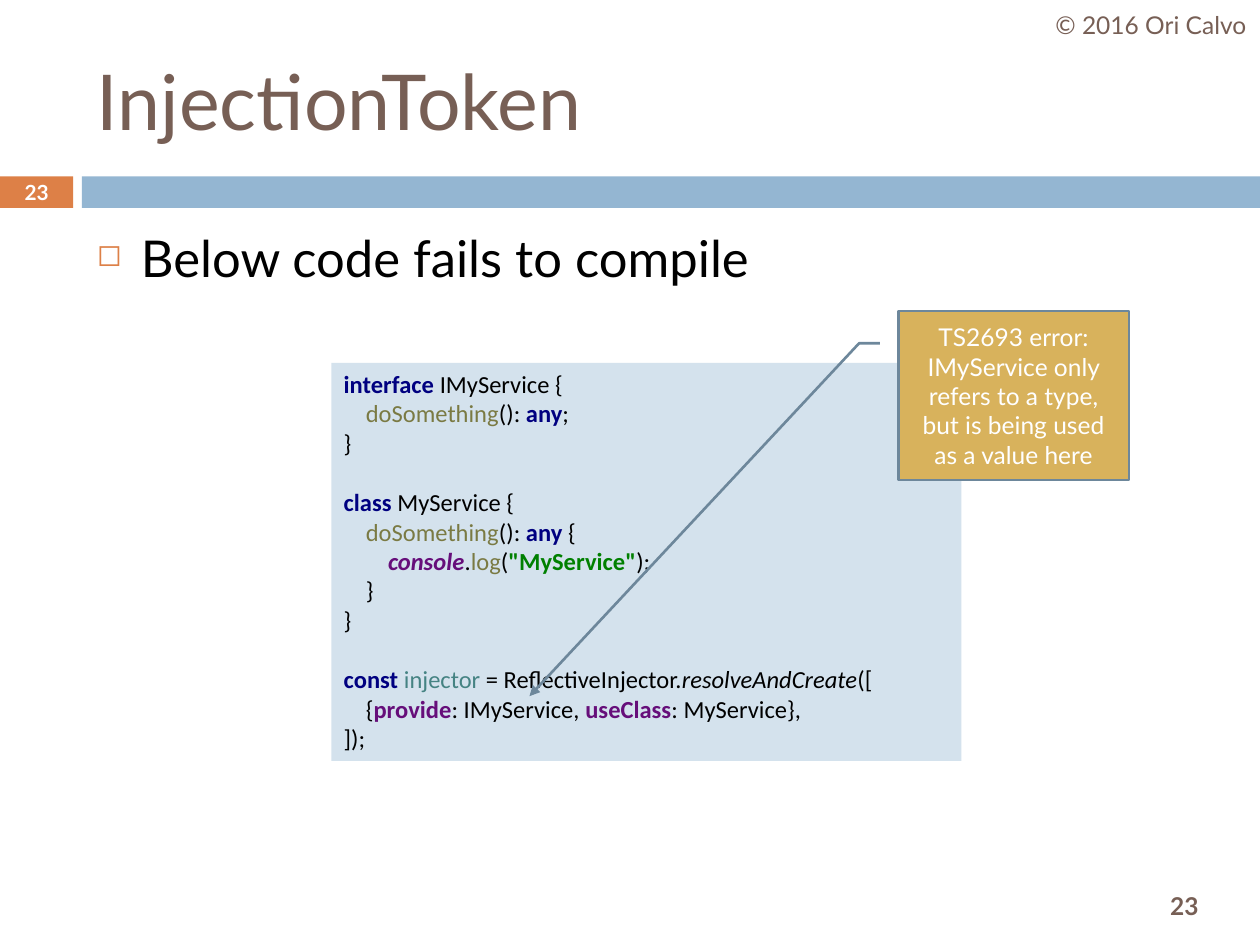
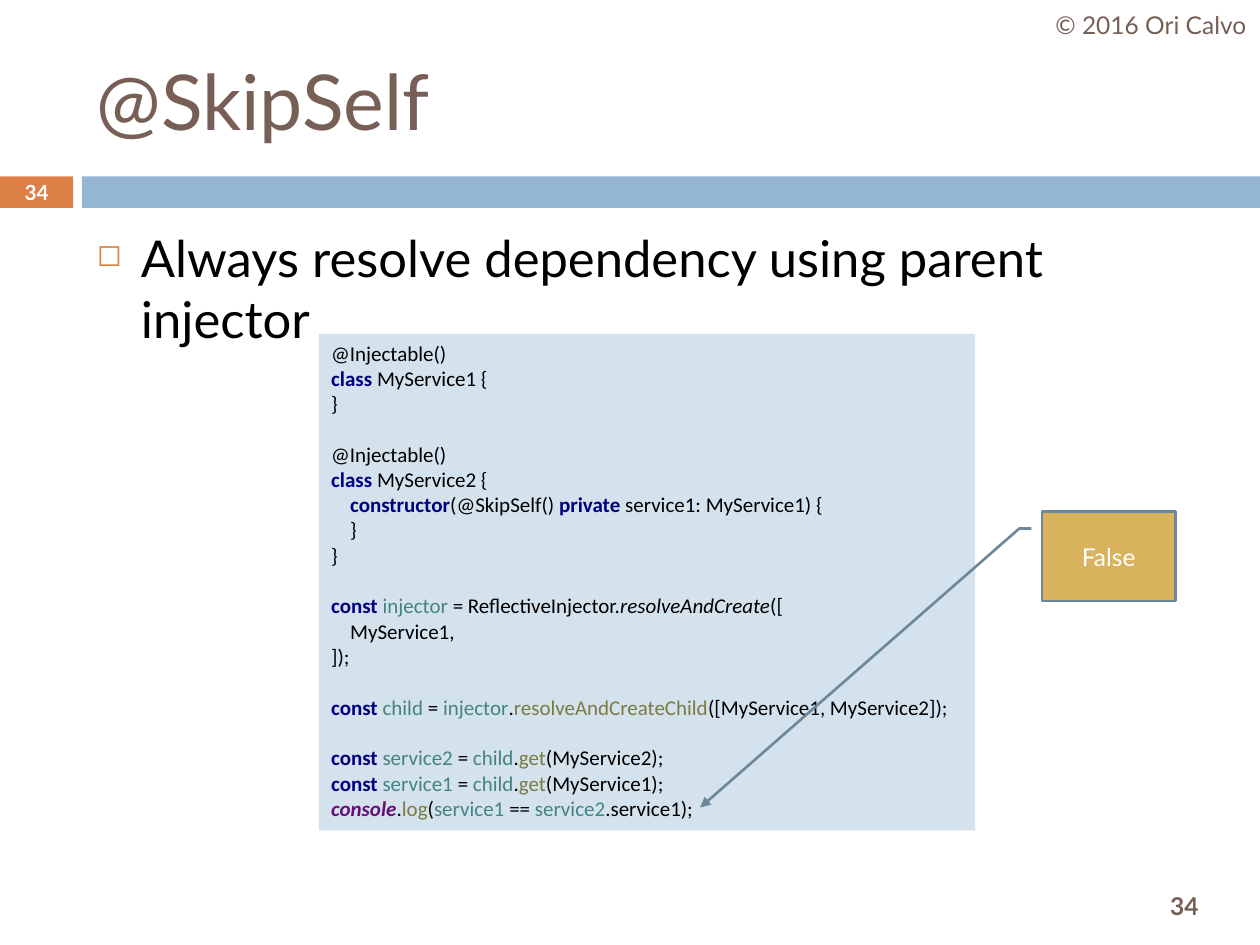
from dataclasses import dataclass
from typing import NamedTuple

from lxml.etree import SubElement
from pptx import Presentation
from pptx.dml.color import RGBColor
from pptx.enum.shapes import MSO_SHAPE
from pptx.enum.text import MSO_ANCHOR, PP_ALIGN
from pptx.oxml.ns import qn
from pptx.util import Inches, Pt

# Shared colours and fonts
BROWN = RGBColor(0x77, 0x5F, 0x55)
ORANGE = RGBColor(0xDD, 0x80, 0x47)
BLUE = RGBColor(0x94, 0xB6, 0xD2)
PALE_BLUE = RGBColor(0xD4, 0xE2, 0xED)
SLATE = RGBColor(0x6D, 0x87, 0x9B)
GOLD = RGBColor(0xD8, 0xB2, 0x5C)
WHITE = RGBColor(0xFF, 0xFF, 0xFF)
BLACK = RGBColor(0x00, 0x00, 0x00)
NAVY = RGBColor(0x00, 0x00, 0x80)
OLIVE = RGBColor(0x7A, 0x7A, 0x43)
PURPLE = RGBColor(0x66, 0x0E, 0x7A)
GREEN = RGBColor(0x00, 0x80, 0x00)
TEAL = RGBColor(0x45, 0x83, 0x83)
TEXT_FONT = "Lato"
CODE_FONT = "Calibri"
COPYRIGHT = "© 2016 Ori Calvo"

# Calibri metrics, as a share of the font size
LINE_HEIGHT = 1.22
INDENT_WIDTH = 0.904


class Box(NamedTuple):
    left: float
    top: float
    width: float
    height: float


class Token(NamedTuple):
    text: str
    color: RGBColor = BLACK
    bold: bool = False
    italic: bool = False


class CodeLine(NamedTuple):
    tokens: list[Token]
    level: int = 0
    gap: bool = False  # one empty line above


@dataclass
class Callout:
    text: str
    box: Box
    tip_x: float
    tip_y: float


@dataclass
class CodeSlide:
    number: int
    title: str
    bullet: str
    code_box: Box
    code_size: int
    code: list[CodeLine]
    callout: Callout


# Syntax highlighting
def line(*parts: str | Token, level: int = 0, gap: bool = False) -> CodeLine:
    tokens = [Token(part) if isinstance(part, str) else part for part in parts]
    return CodeLine(tokens, level, gap)


def keyword(text: str) -> Token:
    return Token(text, NAVY, bold=True)


def method(text: str) -> Token:
    return Token(text, OLIVE)


def variable(text: str) -> Token:
    return Token(text, TEAL)


def field(text: str) -> Token:
    return Token(text, PURPLE, bold=True)


CONSOLE = Token("console", PURPLE, bold=True, italic=True)
CREATE_INJECTOR = line(
    keyword("const "), variable("injector "), "= ReflectiveInjector.",
    Token("resolveAndCreate", italic=True), "([", gap=True)


def get_service(name: str, class_name: str, gap: bool = False) -> CodeLine:
    return line(keyword("const "), variable(f"{name} "), "= ", variable("child"),
                ".", method("get"), f"({class_name});", gap=gap)


# Drawing
def add_run(paragraph, text: str, *, size: float, color: RGBColor,
            font: str = TEXT_FONT, bold: bool = False, italic: bool = False):
    run = paragraph.add_run()
    run.text = text
    run.font.name = font
    run.font.size = Pt(size)
    run.font.color.rgb = color
    run.font.bold = bold
    run.font.italic = italic


def write_text(shape, text: str, *, align=PP_ALIGN.CENTER, anchor=MSO_ANCHOR.MIDDLE,
               margin: float = 0.1, **run_format):
    frame = shape.text_frame
    frame.word_wrap = True
    frame.vertical_anchor = anchor
    frame.margin_left = frame.margin_right = Inches(margin)
    paragraph = frame.paragraphs[0]
    paragraph.alignment = align
    add_run(paragraph, text, **run_format)
    return paragraph


def add_text_box(slide, box: Box, text: str, **text_format):
    shape = slide.shapes.add_textbox(*map(Inches, box))
    return write_text(shape, text, **text_format)


def add_filled_shape(slide, box: Box, fill: RGBColor, kind=MSO_SHAPE.RECTANGLE):
    shape = slide.shapes.add_shape(kind, *map(Inches, box))
    shape.shadow.inherit = False
    shape.fill.solid()
    shape.fill.fore_color.rgb = fill
    shape.line.fill.background()
    return shape


def add_frame(slide, number: int, title: str):
    add_filled_shape(slide, Box(0, 1.4, 0.58, 0.25), ORANGE)
    add_filled_shape(slide, Box(0.65, 1.4, 9.35, 0.25), BLUE)
    add_text_box(slide, Box(8.94, 6.98, 0.92, 0.42), str(number),
                 size=14, color=BROWN, bold=True)
    add_text_box(slide, Box(0.67, 0.25, 8.92, 1.08), title,
                 align=PP_ALIGN.LEFT, size=44, color=BROWN)
    add_text_box(slide, Box(8.27, 0, 1.73, 0.4), COPYRIGHT,
                 margin=0.05, size=14, color=BROWN)
    add_text_box(slide, Box(0, 1.39, 0.58, 0.27), str(number),
                 size=11.9, color=WHITE, bold=True)


def add_bullet(slide, text: str):
    paragraph = add_text_box(slide, Box(0.67, 1.75, 8.92, 4.92), text,
                             align=PP_ALIGN.LEFT, anchor=MSO_ANCHOR.TOP,
                             size=29, color=BLACK)
    paragraph.space_before = Pt(7)
    properties = paragraph._p.get_or_add_pPr()
    properties.set("marL", str(Inches(0.35)))
    properties.set("indent", str(-Inches(0.35)))
    color = SubElement(properties, qn("a:buClr"))
    SubElement(color, qn("a:srgbClr"), val=str(ORANGE))
    SubElement(properties, qn("a:buSzPct"), val="60000")
    SubElement(properties, qn("a:buChar"), char="◻")


def add_code(slide, box: Box, code: list[CodeLine], size: int):
    frame = add_filled_shape(slide, box, PALE_BLUE).text_frame
    frame.word_wrap = True
    frame.vertical_anchor = MSO_ANCHOR.TOP
    for index, code_line in enumerate(code):
        paragraph = frame.add_paragraph() if index else frame.paragraphs[0]
        paragraph.alignment = PP_ALIGN.LEFT
        if code_line.gap:
            paragraph.space_before = Pt(LINE_HEIGHT * size)
        indent = Pt(INDENT_WIDTH * size * code_line.level)
        paragraph._p.get_or_add_pPr().set("marL", str(indent))
        for token in code_line.tokens:
            add_run(paragraph, token.text, font=CODE_FONT, size=size,
                    color=token.color, bold=token.bold, italic=token.italic)


def add_callout(slide, callout: Callout):
    shape = add_filled_shape(slide, callout.box, GOLD, MSO_SHAPE.LINE_CALLOUT_2)
    # Pairs of y and x as shares of the box: start, bend, tip
    leader = (0.19, -0.08, 0.19, -0.17, callout.tip_y, callout.tip_x)
    for index, share in enumerate(leader):
        shape.adjustments[index] = share
    shape.line.color.rgb = SLATE
    shape.line.width = Pt(1.5)
    SubElement(shape.line._get_or_add_ln(), qn("a:tailEnd"), type="triangle")
    write_text(shape, callout.text, size=14, color=WHITE)


# Slide content
SLIDES = [
    CodeSlide(
        number=23,
        title="InjectionToken",
        bullet="Below code fails to compile",
        code_box=Box(2.63, 2.88, 5, 3.16),
        code_size=14,
        code=[
            line(keyword("interface "), "IMyService {"),
            line(method("doSomething"), "(): ", keyword("any"), ";", level=1),
            line("}"),
            line(keyword("class "), "MyService {", gap=True),
            line(method("doSomething"), "(): ", keyword("any "), "{", level=1),
            line(CONSOLE, ".", method("log"), "(",
                 Token('"MyService"', GREEN, bold=True), ");", level=2),
            line("}", level=1),
            line("}"),
            CREATE_INJECTOR,
            line("{", field("provide"), ": IMyService, ", field("useClass"),
                 ": MyService},", level=1),
            line("]);"),
        ],
        callout=Callout(
            "TS2693 error: IMyService only refers to a type, "
            "but is being used as a value here",
            Box(7.13, 2.47, 1.83, 1.34), tip_x=-1.6, tip_y=2.28),
    ),
    CodeSlide(
        number=34,
        title="@SkipSelf",
        bullet="Always resolve dependency using parent injector",
        code_box=Box(2.53, 2.65, 5.21, 3.94),
        code_size=12,
        code=[
            line("@Injectable()"),
            line(keyword("class "), "MyService1 {"),
            line("}"),
            line("@Injectable()", gap=True),
            line(keyword("class "), "MyService2 {"),
            line(keyword("constructor"), "(@SkipSelf() ", keyword("private "),
                 "service1: MyService1) {", level=1),
            line("}", level=1),
            line("}"),
            CREATE_INJECTOR,
            line("MyService1,", level=1),
            line("]);"),
            line(keyword("const "), variable("child "), "= ", variable("injector"), ".",
                 method("resolveAndCreateChild"), "([MyService1, MyService2]);", gap=True),
            get_service("service2", "MyService2", gap=True),
            get_service("service1", "MyService1"),
            line(CONSOLE, ".", method("log"), "(", variable("service1 "), "== ",
                 variable("service2"), ".service1);"),
        ],
        callout=Callout("False", Box(8.27, 4.06, 1.06, 0.71), tip_x=-2.56, tip_y=3.31),
    ),
]


def main():
    presentation = Presentation()
    presentation.slide_width = Inches(10)
    presentation.slide_height = Inches(7.5)
    blank_layout = presentation.slide_layouts[6]
    for content in SLIDES:
        slide = presentation.slides.add_slide(blank_layout)
        add_frame(slide, content.number, content.title)
        add_bullet(slide, content.bullet)
        add_code(slide, content.code_box, content.code, content.code_size)
        add_callout(slide, content.callout)
    presentation.save("out.pptx")


if __name__ == "__main__":
    main()
